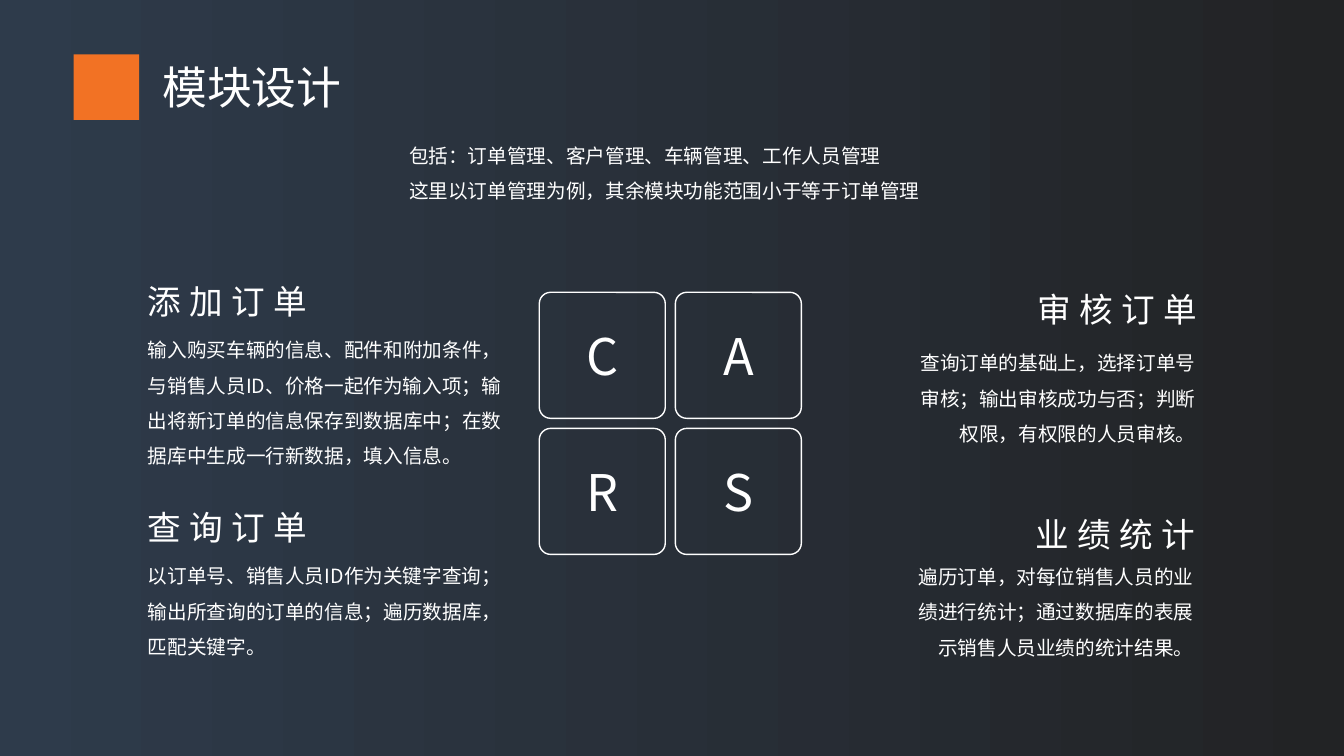
from pptx import Presentation, util as u
from pptx.dml.color import RGBColor
from pptx.enum import shapes, text
from pptx.oxml.ns import qn
from lxml import etree

Pt = u.Pt
LEFT, RIGHT, MID = text.PP_ALIGN.LEFT, text.PP_ALIGN.RIGHT, text.PP_ALIGN.CENTER

TITLE = "模块设计"
INTRO = ["包括：订单管理、客户管理、车辆管理、工作人员管理",
         "这里以订单管理为例，其余模块功能范围小于等于订单管理"]
WORD = "CARS"
# heading, body, alignment, heading box, body box (left, top, width, height)
MODULES = [
    ("添加订单",
     "输入购买车辆的信息、配件和附加条件，与销售人员ID、价格一起作为输入项；"
     "输出将新订单的信息保存到数据库中；在数据库中生成一行新数据，填入信息。",
     LEFT, (98.6, 197.3, 175.7, 36), (98.6, 229.7, 269.3, 105.8)),
    ("查询订单",
     "以订单号、销售人员ID作为关键字查询；输出所查询的订单的信息；遍历数据库，匹配关键字。",
     LEFT, (98.6, 358.6, 175.7, 36), (98.6, 391, 269.3, 80.6)),
    ("审核订单",
     "查询订单的基础上，选择订单号审核；输出审核成功与否；判断权限，有权限的人员审核。",
     RIGHT, (686.2, 203, 175.7, 36), (645.8, 239, 215.3, 80.6)),
    ("业绩统计",
     "遍历订单，对每位销售人员的业绩进行统计；通过数据库的表展示销售人员业绩的统计结果。",
     RIGHT, (685.4, 363.6, 175.7, 36), (644.4, 391.7, 215.3, 80.6)),
]
THEME = {
    "font": "Noto Sans CJK SC",
    "ink": RGBColor.from_string("FFFFFF"),
    "accent": RGBColor.from_string("F27224"),
    "back": [RGBColor.from_string(c) for c in ("222325", "2E3B4B")],
    "title": 32, "head": 24, "body": 14, "tile": 36,
}
TILE, STEP, GRID = 90, 97.2, (385.2, 208.8)


def apply(obj, **vals):
    for key, val in vals.items():
        setattr(obj, key, val)


def place(shape, box):
    apply(shape, **dict(zip(("left", "top", "width", "height"), map(Pt, box))))


def write(shape, lines, size, align=LEFT, space=1.0, track=0, wrap=True,
          anchor=text.MSO_ANCHOR.TOP, fit=text.MSO_AUTO_SIZE.SHAPE_TO_FIT_TEXT):
    """Fill a shape with paragraphs; track is the letter spacing in points."""
    frame = shape.text_frame
    apply(frame, text="\n".join(lines), word_wrap=wrap, auto_size=fit,
          vertical_anchor=anchor)
    for para in frame.paragraphs:
        apply(para, alignment=align, line_spacing=space)
        for run in para.runs:
            apply(run.font, name=THEME["font"], size=Pt(size))
            run.font.color.rgb = THEME["ink"]
            props = run.font._element
            if track:
                props.set("spc", str(track * 100))
            east = etree.Element(qn("a:ea"), typeface=THEME["font"])
            props.find(qn("a:latin")).addnext(east)


def add_text(slide, box, lines, size, **opts):
    write(slide.shapes.add_textbox(*map(Pt, box)), lines, size, **opts)


def add_tile(slide, index, letter):
    row, col = divmod(index, 2)
    tile = slide.shapes.add_shape(
        shapes.MSO_SHAPE.ROUNDED_RECTANGLE, Pt(GRID[0] + col * STEP),
        Pt(GRID[1] + row * STEP), Pt(TILE), Pt(TILE))
    tile.adjustments[0] = 0.09
    tile.shadow.inherit = False
    tile.fill.background()
    tile.line.color.rgb = THEME["ink"]
    tile.line.width = Pt(1)
    write(tile, [letter], THEME["tile"], align=MID,
          anchor=text.MSO_ANCHOR.MIDDLE, fit=text.MSO_AUTO_SIZE.NONE)


def paint_back(slide):
    fill = slide.background.fill
    fill.gradient()
    fill.gradient_angle = 180
    for stop, color, pos in zip(fill.gradient_stops, THEME["back"], (0, 1)):
        stop.color.rgb = color
        stop.position = pos


def main():
    deck = Presentation()
    apply(deck, slide_width=Pt(960), slide_height=Pt(540))
    slide = deck.slides.add_slide(deck.slide_layouts[5])
    paint_back(slide)

    title = slide.shapes.title
    place(title, (108.7, 38.9, 144, 46.1))
    write(title, [TITLE], THEME["title"], wrap=False)

    mark = slide.shapes.add_shape(
        shapes.MSO_SHAPE.RECTANGLE, *map(Pt, (52.6, 38.9, 46.8, 46.8)))
    mark.shadow.inherit = False
    mark.fill.solid()
    mark.fill.fore_color.rgb = THEME["accent"]
    mark.line.fill.background()

    add_text(slide, (285.1, 90.7, 380.9, 55.4), INTRO, THEME["body"], space=1.5)
    for index, letter in enumerate(WORD):
        add_tile(slide, index, letter)
    for head, body, align, top, low in MODULES:
        add_text(slide, top, [head], THEME["head"], align=align, track=6)
        add_text(slide, low, [body], THEME["body"], align=align, space=1.5)
    deck.save("out.pptx")


if __name__ == "__main__":
    main()
